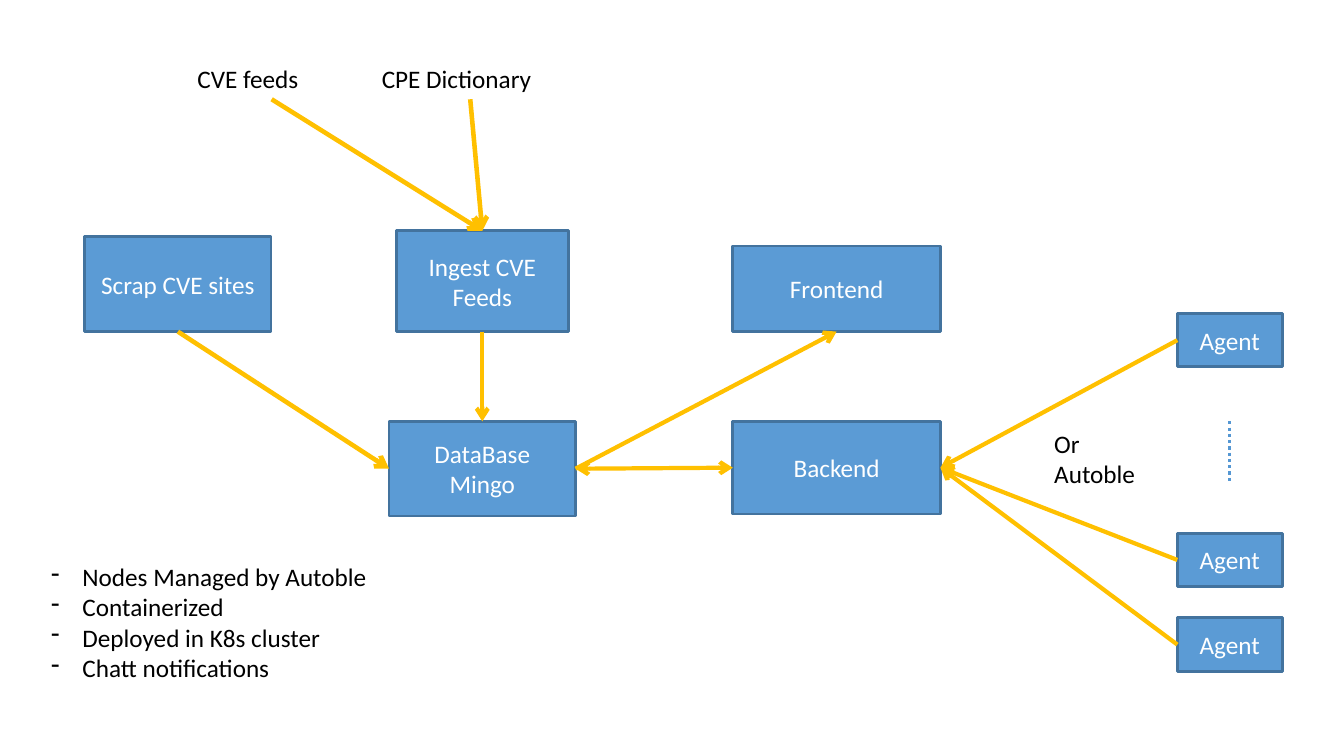
from pptx import Presentation
from pptx.dml.color import RGBColor
from pptx.enum.dml import MSO_LINE
from pptx.enum.shapes import MSO_CONNECTOR, MSO_SHAPE
from pptx.enum.text import MSO_ANCHOR, MSO_AUTO_SIZE, PP_ALIGN
from pptx.oxml.ns import qn
from pptx.util import Inches, Pt
from lxml.etree import SubElement

COLS, ROWS = 40, 30
TOP, LEFT, BOTTOM, RIGHT = range(4)


def rgb(value):
    return RGBColor.from_string(value)


class Diagram:
    FONT, SIZE = "Calibri", 18
    FILL, EDGE, ARROW, DOTS = "5B9BD5", "43739E", "FFC000", "5597D3"

    def __init__(self, prs):
        self.cell_w, self.cell_h = prs.slide_width / COLS, prs.slide_height / ROWS
        self.s = prs.slides.add_slide(prs.slide_layouts[6])

    def place(self, col, row, cols, rows):
        """Turn grid cells into slide lengths."""
        return (round(col * self.cell_w), round(row * self.cell_h),
                round(cols * self.cell_w), round(rows * self.cell_h))

    def set_text(self, tf, text, color, align):
        tf.text = text
        tf.word_wrap = True
        for p in tf.paragraphs:
            p.alignment = align
            for r in p.runs:
                r.font.name, r.font.size = self.FONT, Pt(self.SIZE)
                r.font.color.rgb = rgb(color)

    def box(self, text, *cells):
        sp = self.s.shapes.add_shape(MSO_SHAPE.RECTANGLE, *self.place(*cells))
        sp.shadow.inherit = False
        sp.fill.solid()
        sp.fill.fore_color.rgb = rgb(self.FILL)
        sp.line.color.rgb = rgb(self.EDGE)
        sp.line.width = Pt(2)
        sp.text_frame.vertical_anchor = MSO_ANCHOR.MIDDLE
        self.set_text(sp.text_frame, text, "FFFFFF", PP_ALIGN.CENTER)
        return sp

    def label(self, text, *cells):
        sp = self.s.shapes.add_textbox(*self.place(*cells))
        self.set_text(sp.text_frame, text, "000000", PP_ALIGN.LEFT)
        sp.text_frame.auto_size = MSO_AUTO_SIZE.SHAPE_TO_FIT_TEXT
        return sp

    def dash_list(self, items, *cells):
        sp = self.label("\n".join(items), *cells)
        indent = Inches(0.31)
        for p in sp.text_frame.paragraphs:
            pPr = p._p.get_or_add_pPr()
            pPr.set("marL", str(indent))
            pPr.set("indent", str(-indent))
            SubElement(pPr, qn("a:buChar")).set("char", "-")

    def line(self, ends, color, width):
        cx = self.s.shapes.add_connector(MSO_CONNECTOR.STRAIGHT, *ends)
        cx.line.color.rgb = rgb(color)
        cx.line.width = Pt(width)
        SubElement(cx._element.spPr, qn("a:effectLst"))
        return cx

    def arrow(self, start, start_side, end, end_side, width=3, both=False):
        cx = self.line((0, 0, 0, 0), self.ARROW, width)
        cx.begin_connect(start, start_side)
        cx.end_connect(end, end_side)
        ln = cx._element.spPr.find(qn("a:ln"))
        for tag in ("a:headEnd", "a:tailEnd") if both else ("a:tailEnd",):
            SubElement(ln, qn(tag)).set("type", "arrow")

    def dots(self, col, top, bottom):
        x, y, _, h = self.place(col, top, 0, bottom - top)
        cx = self.line((x, y, x, y + h), self.DOTS, 2.25)
        cx.line.dash_style = MSO_LINE.ROUND_DOT


def main():
    prs = Presentation()
    prs.slide_width, prs.slide_height = Inches(13.33), Inches(7.5)
    d = Diagram(prs)

    ingest = d.box("Ingest CVE Feeds", 11.79, 9.16, 5.13, 4)
    database = d.box("DataBase\vMingo", 11.58, 16.72, 5.55, 3.76)
    backend = d.box("Backend", 21.81, 16.72, 6.18, 3.68)
    frontend = d.box("Frontend", 21.81, 9.76, 6.18, 3.4)
    scrap = d.box("Scrap CVE sites", 2.52, 9.4, 5.55, 3.76)
    agents = [d.box("Agent", 35.04, row, 3.12, 2.12) for row in (12.44, 21.16, 24.52)]

    cve_feeds = d.label("CVE feeds", 5.58, 2.32, 5.01, 1.62)
    cpe_dictionary = d.label("CPE Dictionary", 11.07, 2.32, 5.85, 1.62)
    d.label("Or\nAutoble", 31.08, 16.8, 3.24, 2.8)
    d.dash_list(["Nodes Managed by Autoble", "Containerized",
                 "Deployed in K8s cluster", "Chatt notifications"],
                1.23, 22.08, 10.77, 5.2)

    for source in (cpe_dictionary, cve_feeds):
        d.arrow(source, BOTTOM, ingest, TOP, 3.25)
    for agent in agents:
        d.arrow(agent, LEFT, backend, RIGHT)
    d.arrow(backend, LEFT, database, RIGHT, both=True)
    d.arrow(ingest, BOTTOM, database, TOP)
    d.arrow(scrap, BOTTOM, database, LEFT, 3.25)
    d.arrow(database, RIGHT, frontend, BOTTOM)
    d.dots(36.6, 16.72, 19.2)

    prs.save("out.pptx")


if __name__ == "__main__":
    main()
